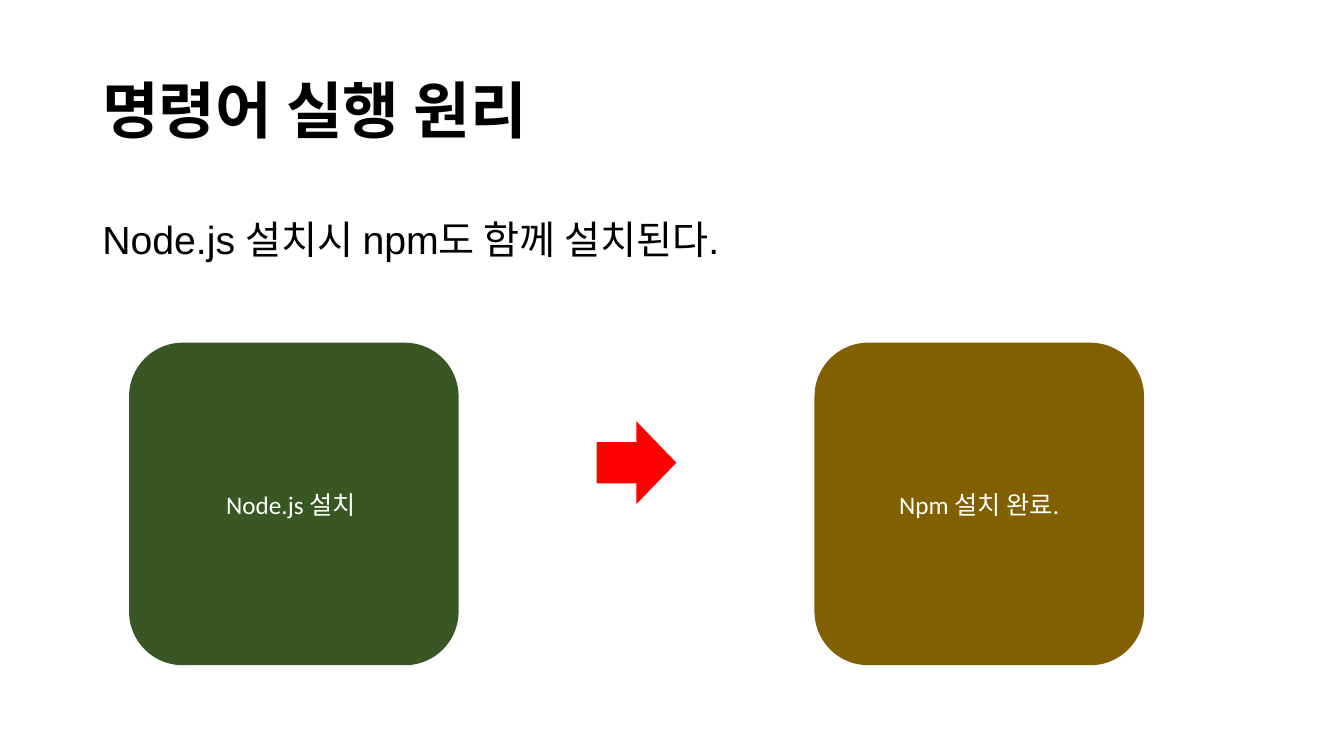
import dataclasses

import pptx
import pptx.dml.color
import pptx.enum.shapes
import pptx.enum.text
import pptx.util

Pt = pptx.util.Pt
RGB = pptx.dml.color.RGBColor.from_string
SHAPE = pptx.enum.shapes.MSO_SHAPE
ANCHOR = pptx.enum.text.MSO_ANCHOR
ALIGN = pptx.enum.text.PP_ALIGN


@dataclasses.dataclass(frozen=True)
class Theme:
    ink: str = "000000"
    white: str = "FFFFFF"
    green: str = "385723"
    brown: str = "806000"
    red: str = "FF0000"
    title_size: int = 44
    body_size: int = 28
    label_size: int = 18


theme = Theme()


def write(frame, text, size, color, font="Calibri", bold=False,
          align=ALIGN.LEFT, anchor=ANCHOR.MIDDLE, spacing=1.0, before=0):
    frame.word_wrap = True
    frame.vertical_anchor = anchor
    paragraph = frame.paragraphs[0]
    paragraph.alignment = align
    paragraph.line_spacing = spacing
    paragraph.space_before = Pt(before)
    run = paragraph.add_run()
    run.text = text
    run.font.name = font
    run.font.size = Pt(size)
    run.font.bold = bold
    run.font.color.rgb = RGB(color)


def add_filled(kind, left, top, width, height, color):
    shape = slide.shapes.add_shape(kind, Pt(left), Pt(top), Pt(width), Pt(height))
    shape.shadow.inherit = False
    shape.fill.solid()
    shape.fill.fore_color.rgb = RGB(color)
    shape.line.fill.background()
    return shape


presentation = pptx.Presentation()
presentation.slide_width = Pt(960)
presentation.slide_height = Pt(540)
slide = presentation.slides.add_slide(presentation.slide_layouts[6])

# Heading and statement
heading = slide.shapes.add_textbox(Pt(66), Pt(28.8), Pt(828), Pt(104.4))
write(heading.text_frame, "명령어 실행 원리", theme.title_size, theme.ink,
      bold=True, spacing=0.9)

statement = slide.shapes.add_textbox(Pt(66), Pt(133.2), Pt(694), Pt(64))
write(statement.text_frame, "Node.js 설치시 npm도 함께 설치된다.", theme.body_size,
      theme.ink, font="Arial", anchor=ANCHOR.TOP, spacing=1.5, before=10)

# Installation steps
steps = [
    ("Node.js 설치 ", 92.2, theme.green),
    ("Npm 설치 완료.", 581.8, theme.brown),
]
for label, left, color in steps:
    step = add_filled(SHAPE.ROUNDED_RECTANGLE, left, 244.8, 235.4, 230.4, color)
    write(step.text_frame, label, theme.label_size, theme.white, align=ALIGN.CENTER)

# Arrow from the first step to the second
add_filled(SHAPE.RIGHT_ARROW, 426.2, 301, 56.9, 59, theme.red)

presentation.save("out.pptx")
